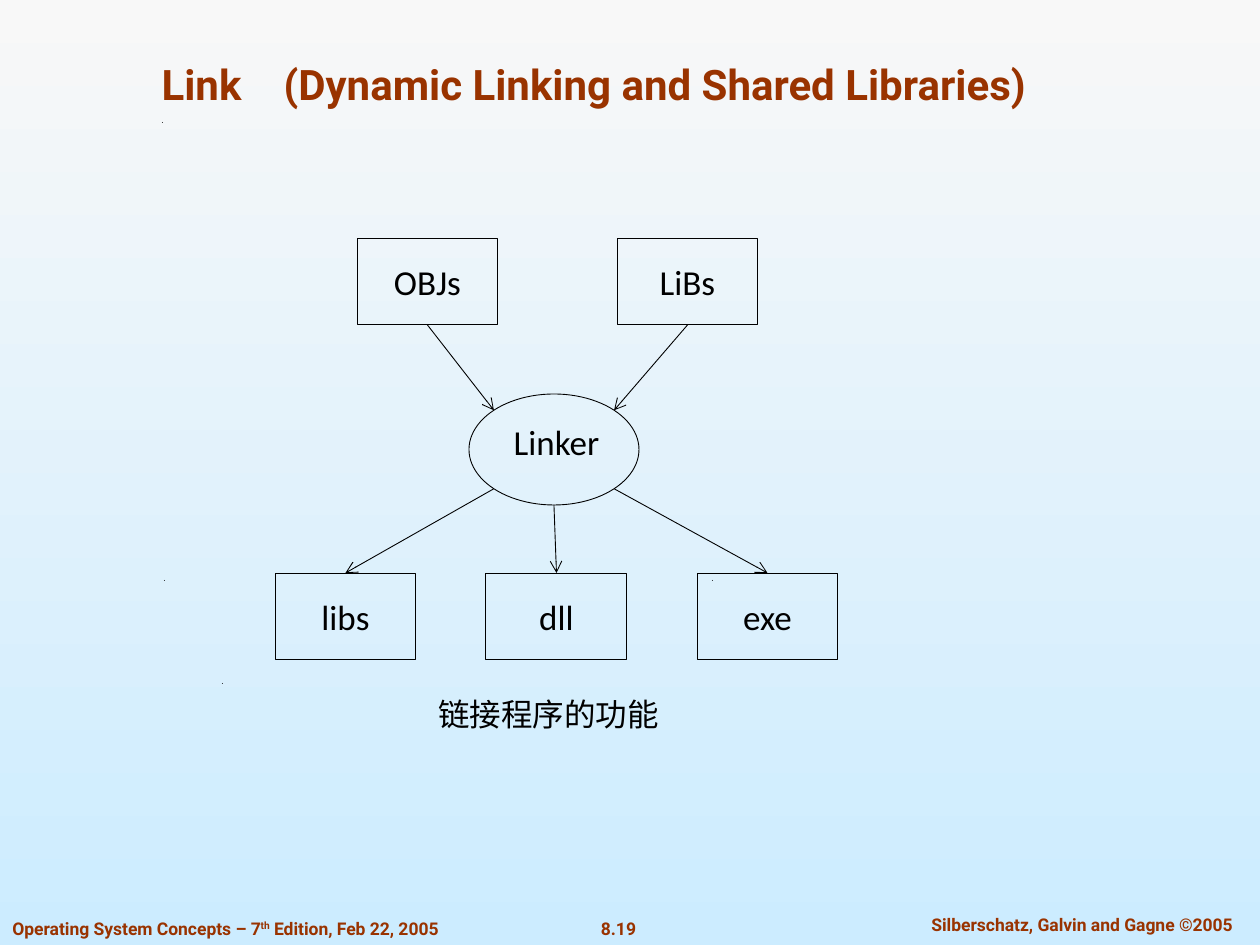
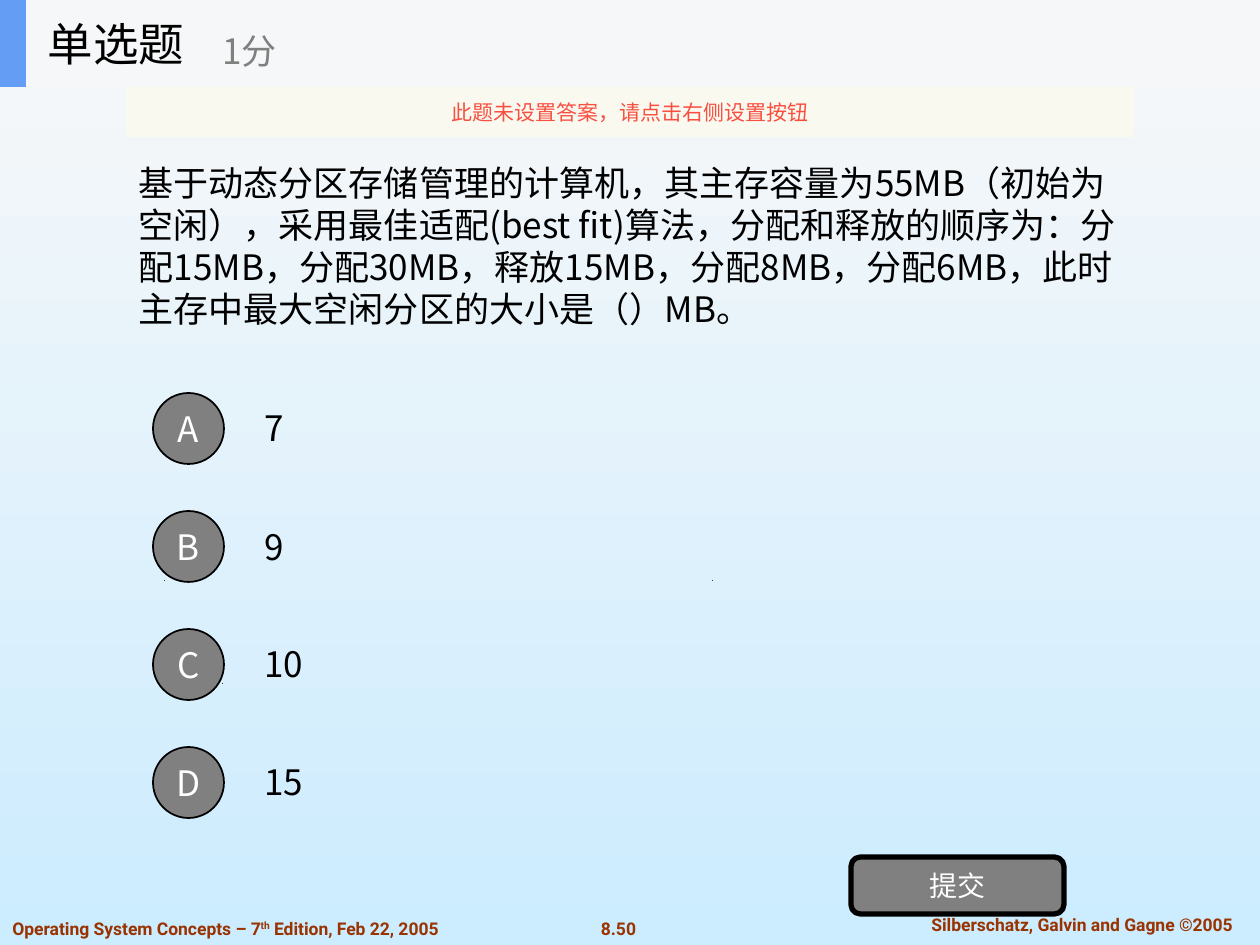
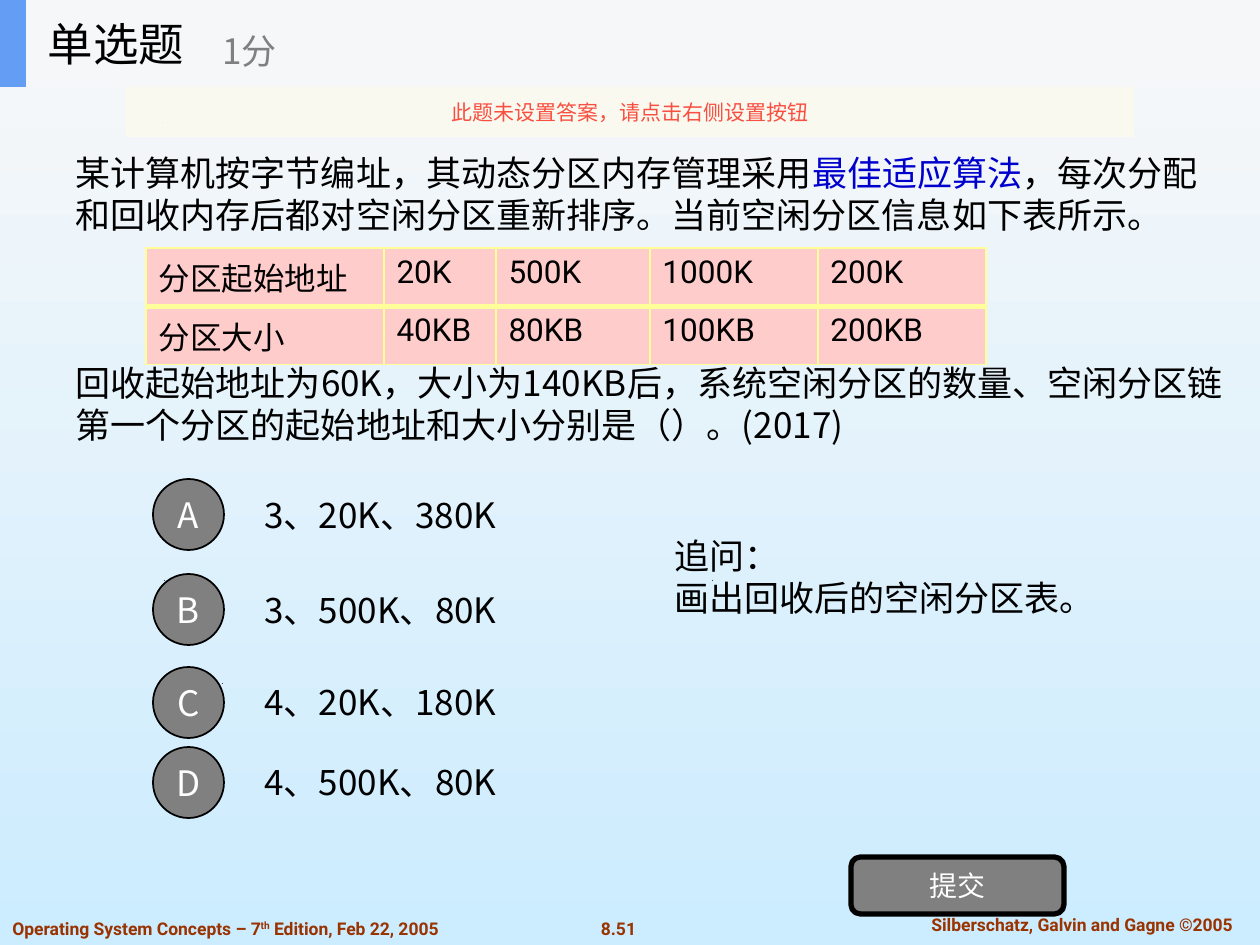
from dataclasses import dataclass
from itertools import accumulate
from math import cos, pi

from lxml.etree import SubElement
from pptx import Presentation
from pptx.dml.color import RGBColor
from pptx.enum.shapes import MSO_CONNECTOR, MSO_SHAPE
from pptx.enum.text import MSO_ANCHOR, MSO_AUTO_SIZE, PP_ALIGN
from pptx.oxml.ns import qn
from pptx.util import Pt

EMU_PER_PX = 914400 / 126


@dataclass(frozen=True)
class Theme:
    background: tuple = ("F8F8F8", "CCECFF")
    brand: str = "993300"
    ink: str = "000000"
    paper: str = "FFFFFF"
    gray: str = "808080"
    accent: str = "639EF4"
    header: str = "F6F7F8"
    notice: str = "FBFAEF"
    warning: str = "F84F41"
    emphasis: str = "0000CC"
    cell: str = "FFCCCC"
    border: str = "FFFF99"
    brand_font: str = "Roboto"
    diagram_font: str = "Calibri"
    quiz_font: str = "Noto Sans CJK SC"
    footer_size: int = 10
    notice_size: int = 12
    button_size: int = 16
    small_size: int = 18
    text_size: int = 20
    title_size: int = 24
    quiz_title_size: int = 26


THEME = Theme()
BRAND = dict(font=THEME.brand_font, color=THEME.brand, bold=True)
DIAGRAM = dict(font=THEME.diagram_font, align=PP_ALIGN.CENTER)
CENTERED = dict(align=PP_ALIGN.CENTER)

# Content; boxes are left, top, width, height in px
BOOK = [("Operating System Concepts – 7", {}), ("th", {"baseline": 30}),
        (" Edition, Feb 22, 2005", {})]
AUTHORS = "Silberschatz, Galvin and Gagne ©2005"
SPECKS = [(222, 683), (164, 580), (712, 580), (162, 122)]

LINK = {
    "page": "8.19",
    "title": "Link\t(Dynamic Linking and Shared Libraries)",
    "inputs": ["OBJs", "LiBs"],
    "linker": "Linker",
    "outputs": ["libs", "dll", "exe"],
    "caption": "链接程序的功能",
}
QUIZ_TITLE = "单选题"
QUIZ_SCORE = "1分"
QUIZ_NOTICE = "此题未设置答案，请点击右侧设置按钮"
QUIZ_SUBMIT = "提交"
BEST_FIT = {
    "page": "8.50",
    "question": ["基于动态分区存储管理的计算机，其主存容量为55MB（初始为空闲），"
                 "采用最佳适配(best fit)算法，分配和释放的顺序为：分配15MB，分配30MB，"
                 "释放15MB，分配8MB，分配6MB，此时主存中最大空闲分区的大小是（）MB。"],
    "question_box": (126, 98, 1008, 295),
    "options": ["7", "9", "10", "15"],
    "option_tops": [393, 511, 629, 747],
}
RECLAIM = {
    "page": "8.51",
    "question": [
        [("某计算机按字节编址，其动态分区内存管理采用", {}),
         ("最佳适应算法", {"color": THEME.emphasis}),
         ("，每次分配和回收内存后都对空闲分区重新排序。当前空闲分区信息如下表所示。", {})],
        "回收起始地址为60K，大小为140KB后，系统空闲分区的数量、"
        "空闲分区链第一个分区的起始地址和大小分别是（）。(2017)",
    ],
    "question_box": (63, 123, 1179, 350),
    "options": ["3、20K、380K", "3、500K、80K", "4、20K、180K", "4、500K、80K"],
    "option_tops": [479, 574, 667, 747],
}
FREE_PARTITIONS = [
    ["分区起始地址", "20K", "500K", "1000K", "200K"],
    ["分区大小", "40KB", "80KB", "100KB", "200KB"],
]
PARTITION_COLUMNS = [238, 112, 154, 168, 168]
FOLLOW_UP = ["追问：", "画出回收后的空闲分区表。"]


def px(*lengths):
    return [round(length * EMU_PER_PX) for length in lengths]


def rgb(color):
    return RGBColor.from_string(color)


def format_run(run, font, size, color, bold=False, baseline=0):
    run.font.name, run.font.size, run.font.bold = font, Pt(size), bold
    run.font.color.rgb = rgb(color)
    properties = run._r.get_or_add_rPr()
    SubElement(properties, qn("a:ea"), typeface=THEME.quiz_font)
    if baseline:
        properties.set("baseline", str(baseline * 1000))


def write(frame, paragraphs, align=PP_ALIGN.LEFT, anchor=MSO_ANCHOR.MIDDLE, gap=0,
          tab=None, plain=False, font=THEME.quiz_font, size=THEME.text_size,
          color=THEME.ink, **run_format):
    """Fill a text frame; a paragraph is a string or a list of (text, overrides)."""
    frame.word_wrap, frame.auto_size = True, MSO_AUTO_SIZE.NONE
    frame.vertical_anchor = anchor
    base = dict(font=font, size=size, color=color, **run_format)
    for index, content in enumerate([paragraphs] if isinstance(paragraphs, str) else paragraphs):
        paragraph = frame.add_paragraph() if index else frame.paragraphs[0]
        properties = paragraph._p.get_or_add_pPr()
        if plain:
            properties.set("marL", "0")
            properties.set("indent", "0")
            SubElement(properties, qn("a:buNone"))
        if tab:
            tabs = SubElement(properties, qn("a:tabLst"))
            SubElement(tabs, qn("a:tab"), pos=str(px(tab)[0]), algn="l")
        paragraph.alignment = align
        paragraph.space_before = Pt(gap if index else 0)
        for text, overrides in [(content, {})] if isinstance(content, str) else content:
            run = paragraph.add_run()
            run.text = text
            format_run(run, **{**base, **overrides})


def place(shape, box):
    shape.left, shape.top, shape.width, shape.height = px(*box)


def add_text(slide, box, paragraphs, **text_format):
    text_box = slide.shapes.add_textbox(*px(*box))
    write(text_box.text_frame, paragraphs, **text_format)


def paint(shape, fill=None, line=None, line_width=1):
    shape.shadow.inherit = False
    if fill:
        shape.fill.solid()
        shape.fill.fore_color.rgb = rgb(fill)
    else:
        shape.fill.background()
    if line:
        shape.line.color.rgb = rgb(line)
        shape.line.width = Pt(line_width)
    else:
        shape.line.fill.background()


def add_shape(slide, kind, box, text=None, fill=None, line=None, line_width=1, **text_format):
    shape = slide.shapes.add_shape(kind, *px(*box))
    paint(shape, fill, line, line_width)
    if text:
        write(shape.text_frame, text, **text_format)
    return shape


def add_arrow(slide, start, end):
    connector = slide.shapes.add_connector(MSO_CONNECTOR.STRAIGHT, *px(*start, *end))
    connector.line.color.rgb = rgb(THEME.ink)
    connector.line.width = Pt(0.5)
    line = connector.element.spPr.find(qn("a:ln"))
    SubElement(line, qn("a:tailEnd"), type="arrow")
    SubElement(connector.element.spPr, qn("a:effectLst"))


def add_slide(presentation, layout, page):
    """Add a slide with the footers and specks that every slide carries."""
    slide = presentation.slides.add_slide(presentation.slide_layouts.get_by_name(layout))
    for left, top in SPECKS:
        builder = slide.shapes.build_freeform(left, top + 1, scale=EMU_PER_PX)
        builder.add_line_segments([(left + 1, top), (left + 1, top + 1)], close=True)
        paint(builder.convert_to_shape(), fill=THEME.ink)
    footer = dict(size=THEME.footer_size, **BRAND)
    add_text(slide, (0, 911, 530, 34), [BOOK], **footer)
    add_text(slide, (575, 911, 87, 34), page, **footer, **CENTERED)
    add_text(slide, (895, 907, 374, 34), AUTHORS, **footer, **CENTERED)
    return slide


def build_link_slide(presentation):
    slide = add_slide(presentation, "Title Only", LINK["page"])
    title = slide.shapes.title
    place(title, (149, 52, 997, 63))
    write(title.text_frame, LINK["title"], size=THEME.title_size, tab=122, **BRAND)

    width, height = 141, 87
    left, top, oval_width, oval_height = oval = (469, 394, 170, 111)
    center_x, center_y = left + oval_width / 2, top + oval_height / 2
    reach_x, reach_y = (side / 2 * cos(pi / 4) for side in (oval_width, oval_height))
    outline = dict(line=THEME.ink, line_width=0.5)

    def add_row(names, row_left, row_top, pitch):
        """Draw a row of boxes and return the x of each middle."""
        lefts = [row_left + index * pitch for index in range(len(names))]
        for name, box_left in zip(names, lefts):
            add_shape(slide, MSO_SHAPE.RECTANGLE, (box_left, row_top, width, height),
                      name, **outline, **DIAGRAM)
        return [box_left + width / 2 for box_left in lefts]

    input_top, output_top = 238, 573
    input_middles = add_row(LINK["inputs"], 357, input_top, 260)
    output_middles = add_row(LINK["outputs"], 275, output_top, 211)
    add_shape(slide, MSO_SHAPE.OVAL, oval, **outline)
    add_text(slide, (478, 398, 157, height), LINK["linker"], **DIAGRAM)
    add_text(slide, (374, 670, 349, height), LINK["caption"], size=THEME.small_size, **DIAGRAM)

    for middle, side in zip(input_middles, (-1, 1)):
        add_arrow(slide, (middle, input_top + height),
                  (center_x + side * reach_x, center_y - reach_y))
    for middle, side in zip(output_middles, (-1, 0, 1)):
        exit_y = center_y + (reach_y if side else oval_height / 2)
        add_arrow(slide, (center_x + side * reach_x, exit_y), (middle, output_top))


def add_quiz_header(slide):
    add_shape(slide, MSO_SHAPE.RECTANGLE, (0, 0, 1260, 87), fill=THEME.header)
    add_shape(slide, MSO_SHAPE.RECTANGLE, (0, 0, 26, 87), fill=THEME.accent)
    title = slide.shapes.title
    title.element.getparent().append(title.element)  # in front of the band
    place(title, (35, 0, 175, 87))
    write(title.text_frame, QUIZ_TITLE, size=THEME.quiz_title_size)
    add_text(slide, (210, 15, 315, 71), QUIZ_SCORE, color=THEME.gray)
    notice = add_shape(slide, MSO_SHAPE.RECTANGLE, (126, 87, 1008, 50), QUIZ_NOTICE,
                       fill=THEME.notice, size=THEME.notice_size, color=THEME.warning,
                       **CENTERED)
    notice_color = notice.element.spPr.find(qn("a:solidFill"))[0]
    SubElement(notice_color, qn("a:alpha"), val="90000")


def build_quiz_slide(presentation, quiz):
    slide = add_slide(presentation, "Title and Content", quiz["page"])
    question = slide.placeholders[1]
    place(question, quiz["question_box"])
    write(question.text_frame, quiz["question"], plain=True, gap=72)

    button = dict(fill=THEME.gray, line=THEME.ink, color=THEME.paper, **CENTERED)
    for letter, option, top in zip("ABCD", quiz["options"], quiz["option_tops"]):
        add_shape(slide, MSO_SHAPE.OVAL, (153, top, 71, 71), letter, **button)
        add_text(slide, (252, top - 9, 407, 88), option)
    add_shape(slide, MSO_SHAPE.ROUNDED_RECTANGLE, (851, 857, 213, 57), QUIZ_SUBMIT,
              line_width=3, size=THEME.button_size, **button)
    add_quiz_header(slide)
    return slide


def set_borders(cell, **widths):
    properties = cell._tc.get_or_add_tcPr()
    for index, (side, width) in enumerate(widths.items()):
        line = properties.makeelement(qn(f"a:ln{side}"), {"w": str(Pt(width))})
        fill = SubElement(line, qn("a:solidFill"))
        SubElement(fill, qn("a:srgbClr"), val=THEME.border)
        properties.insert(index, line)


def add_partition_table(slide):
    row_height = 51
    total_width = list(accumulate(PARTITION_COLUMNS))[-1]
    row_count = len(FREE_PARTITIONS)
    table = slide.shapes.add_table(
        row_count, len(PARTITION_COLUMNS),
        *px(146, 248, total_width, row_height * row_count)).table
    table.first_row = table.horz_banding = False
    for column, width in zip(table.columns, PARTITION_COLUMNS):
        column.width = px(width)[0]
    for row_index, values in enumerate(FREE_PARTITIONS):
        table.rows[row_index].height = px(row_height)[0]
        for column_index, value in enumerate(values):
            cell = table.cell(row_index, column_index)
            cell.fill.solid()
            cell.fill.fore_color.rgb = rgb(THEME.cell)
            set_borders(cell, L=1, R=1, T=3 if row_index else 1, B=1 if row_index else 3)
            write(cell.text_frame, value, anchor=MSO_ANCHOR.TOP,
                  font=THEME.brand_font, size=THEME.small_size)


def main():
    presentation = Presentation()
    presentation.slide_width, presentation.slide_height = px(1260, 945)
    background = presentation.slide_master.background.fill
    background.gradient()
    background.gradient_angle = 270
    for stop, color in zip(background.gradient_stops, THEME.background):
        stop.color.rgb = rgb(color)

    build_link_slide(presentation)
    build_quiz_slide(presentation, BEST_FIT)
    reclaim_slide = build_quiz_slide(presentation, RECLAIM)
    add_partition_table(reclaim_slide)
    add_text(reclaim_slide, (662, 533, 460, 88), FOLLOW_UP)
    presentation.save("out.pptx")


if __name__ == "__main__":
    main()
